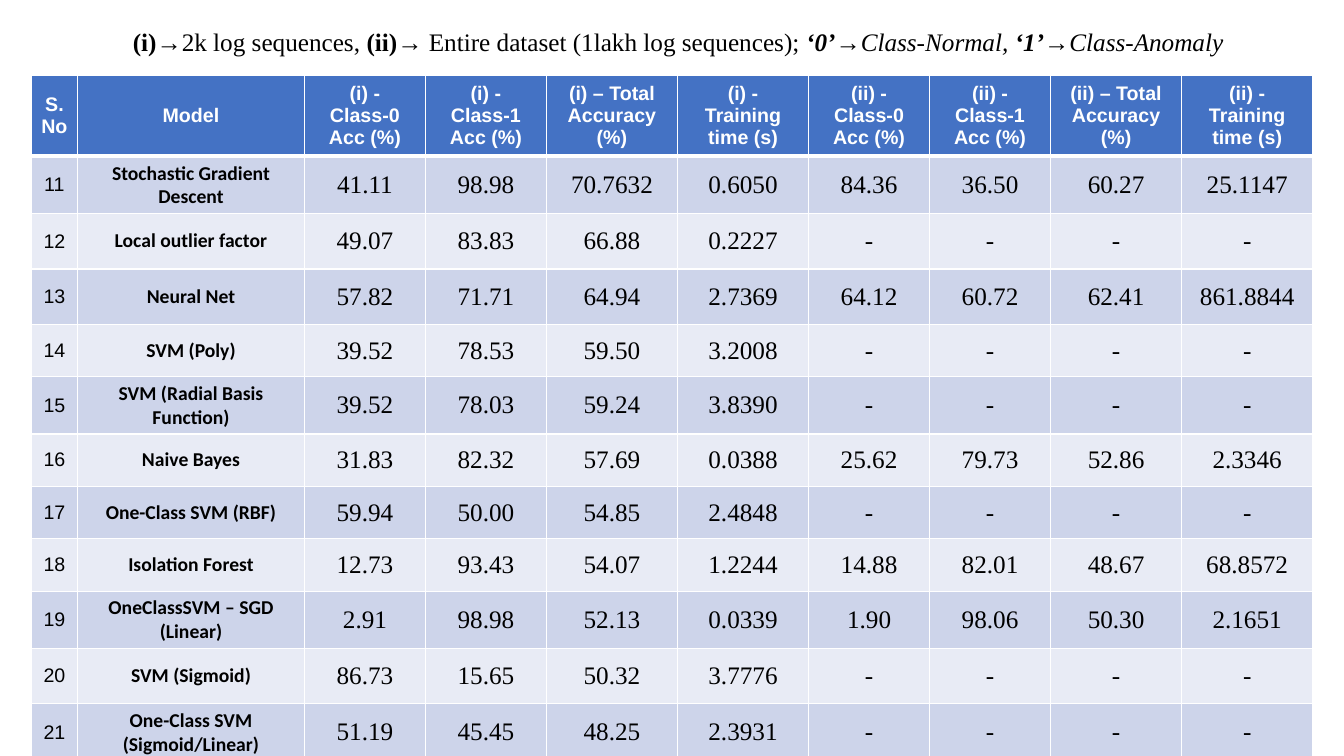
from lxml import etree
from pptx import Presentation
from pptx.dml.color import RGBColor
from pptx.enum.text import MSO_ANCHOR, PP_ALIGN
from pptx.oxml.ns import qn
from pptx.util import Inches, Pt

CENTER = PP_ALIGN.CENTER
MIDDLE = MSO_ANCHOR.MIDDLE
WHITE = RGBColor(0xFF, 0xFF, 0xFF)
BLACK = RGBColor(0, 0, 0)
HEADER_BLUE = RGBColor(0x44, 0x72, 0xC4)
BANDS = (RGBColor(0xCD, 0xD4, 0xEA), RGBColor(0xE8, 0xEB, 0xF5))

COL_WIDTHS = [0.46, 2.25] + [1.2, 1.2, 1.3, 1.3] * 2
ROW_HEIGHTS = [0.55, 0.56, 0.55, 0.55] + [0.52] * 6 + [0.55, 0.52]
MEASURES = ["- Class-0\nAcc (%)", "- Class-1\nAcc (%)",
            "– Total Accuracy (%)", "- Training time (s)"]
HEADERS = ["S.No", "Model"] + [f"({n}) {m}" for n in ("i", "ii") for m in MEASURES]
FIRST_NUMBER = 11
NOT_RUN = ["-"] * 4
RESULTS = [
    ("Stochastic Gradient Descent", ["41.11", "98.98", "70.7632", "0.6050"],
     ["84.36", "36.50", "60.27", "25.1147"]),
    ("Local outlier factor", ["49.07", "83.83", "66.88", "0.2227"], NOT_RUN),
    ("Neural Net", ["57.82", "71.71", "64.94", "2.7369"],
     ["64.12", "60.72", "62.41", "861.8844"]),
    ("SVM (Poly)", ["39.52", "78.53", "59.50", "3.2008"], NOT_RUN),
    ("SVM (Radial Basis Function)", ["39.52", "78.03", "59.24", "3.8390"], NOT_RUN),
    ("Naive Bayes", ["31.83", "82.32", "57.69", "0.0388"],
     ["25.62", "79.73", "52.86", "2.3346"]),
    ("One-Class SVM (RBF)", ["59.94", "50.00", "54.85", "2.4848"], NOT_RUN),
    ("Isolation Forest", ["12.73", "93.43", "54.07", "1.2244"],
     ["14.88", "82.01", "48.67", "68.8572"]),
    ("OneClassSVM – SGD (Linear)", ["2.91", "98.98", "52.13", "0.0339"],
     ["1.90", "98.06", "50.30", "2.1651"]),
    ("SVM (Sigmoid)", ["86.73", "15.65", "50.32", "3.7776"], NOT_RUN),
    ("One-Class SVM (Sigmoid/Linear)", ["51.19", "45.45", "48.25", "2.3931"], NOT_RUN),
]
LEGEND = [
    ("(i)", True, False), ("→2k log sequences, ", False, False),
    ("(ii)", True, False), ("→ Entire dataset (1lakh log sequences); ", False, False),
    ("‘0’", True, True), ("→Class-Normal, ", False, True),
    ("‘1’", True, True), ("→Class-Anomaly", False, True),
]


def set_font(font, name, size, color, bold):
    """Set the four properties that every text shares."""
    font.name, font.size, font.bold = name, Pt(size), bold
    font.color.rgb = color


def set_borders(cell, widths):
    """Draw white cell edges, given points by edge tag in schema order."""
    tcPr = cell._tc.get_or_add_tcPr()
    for i, (edge, width) in enumerate(widths.items()):
        ln = etree.Element(qn(f"a:{edge}"), w=str(Pt(width)))
        fill = etree.SubElement(ln, qn("a:solidFill"))
        etree.SubElement(fill, qn("a:srgbClr"), val=str(WHITE))
        tcPr.insert(i, ln)


def fill_cell(cell, text, fill, font, widths):
    """Write one centred cell with its fill, font and edges."""
    cell.fill.solid()
    cell.fill.fore_color.rgb = fill
    cell.vertical_anchor = MIDDLE
    cell.text_frame.text = text
    for p in cell.text_frame.paragraphs:
        p.alignment = CENTER
        set_font(p.font, *font)
    set_borders(cell, widths)


def add_legend(s, x, y, w, h):
    """Place the legend line above the table."""
    tf = s.shapes.add_textbox(Inches(x), Inches(y), Inches(w), Inches(h)).text_frame
    tf.word_wrap = True
    tf.vertical_anchor = MIDDLE
    p = tf.paragraphs[0]
    p.alignment, p.line_spacing = CENTER, 0.9
    p._p.get_or_add_pPr().set("marL", str(Inches(0.12)))
    for text, bold, italic in LEGEND:
        r = p.add_run()
        r.text = text
        set_font(r.font, "Times New Roman", 18, BLACK, bold)
        r.font.italic = italic


def add_results(s, x, y):
    """Place the table of model results with its corner at x, y."""
    table = s.shapes.add_table(len(ROW_HEIGHTS), len(COL_WIDTHS), Inches(x), Inches(y),
                               Inches(sum(COL_WIDTHS)), Inches(sum(ROW_HEIGHTS))).table
    for col, width in zip(table.columns, COL_WIDTHS):
        col.width = Inches(width)
    for row, height in zip(table.rows, ROW_HEIGHTS):
        row.height = Inches(height)

    header_font = ("Arial", 14, WHITE, True)
    body_fonts = [("Arial", 14, BLACK, False), ("Calibri", 14, BLACK, True)]
    body_fonts += [("Times New Roman", 18, BLACK, False)] * (len(HEADERS) - 2)
    for c, text in enumerate(HEADERS):
        fill_cell(table.cell(0, c), text, HEADER_BLUE, header_font,
                  {"lnL": 1, "lnR": 1, "lnT": 1, "lnB": 3})
    for i, (model, sample, entire) in enumerate(RESULTS):
        values = [str(FIRST_NUMBER + i), model] + sample + entire
        widths = {"lnL": 1, "lnR": 1, "lnT": 1 if i else 3, "lnB": 1}
        for c, text in enumerate(values):
            fill_cell(table.cell(i + 1, c), text, BANDS[i % 2], body_fonts[c], widths)


prs = Presentation()
prs.slide_width, prs.slide_height = Inches(13.33), Inches(7.5)
s = prs.slides.add_slide(prs.slide_layouts[6])
add_legend(s, 1.04, 0.23, 11.25, 0.4)
add_results(s, 0.31, 0.75)
prs.save("out.pptx")
